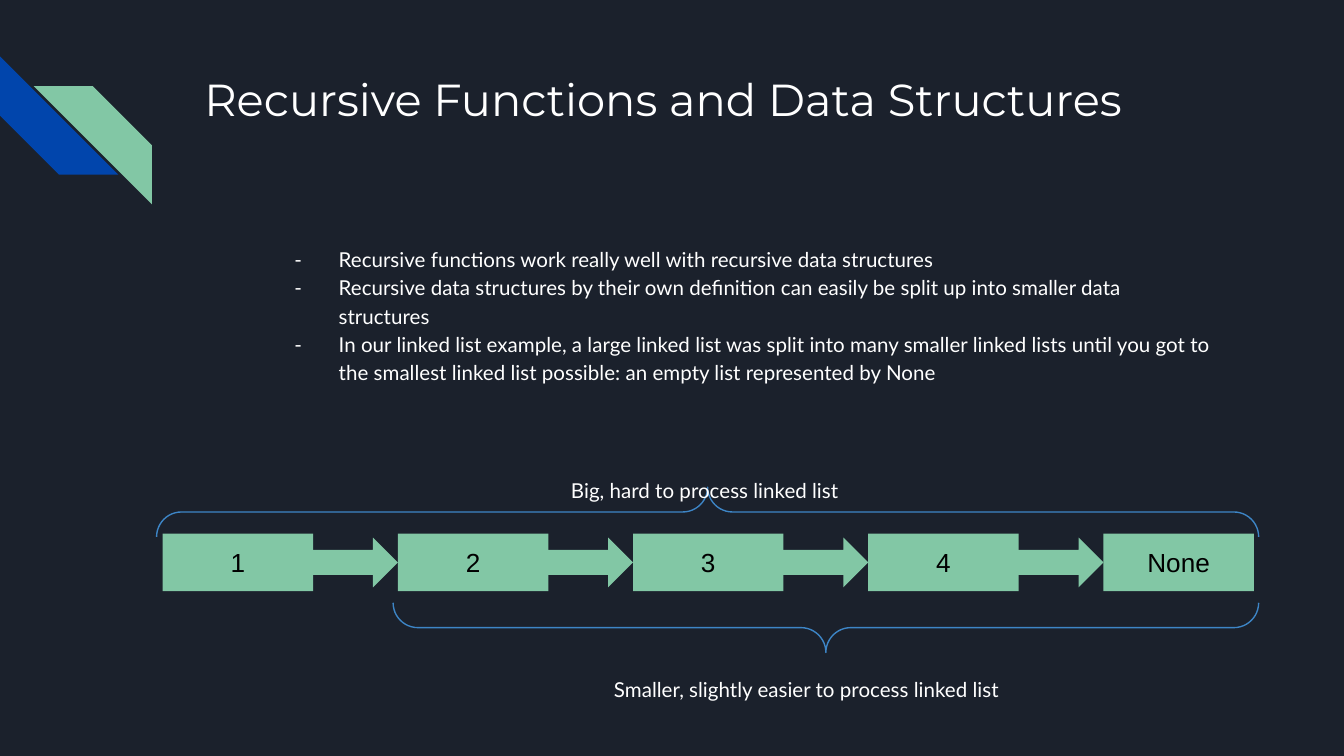
"""Build a slide on recursive functions and linked lists."""
from lxml.etree import SubElement
from pptx import Presentation
from pptx.dml.color import RGBColor
from pptx.enum.shapes import MSO_SHAPE
from pptx.enum.text import MSO_ANCHOR, MSO_AUTO_SIZE, PP_ALIGN
from pptx.oxml.ns import qn
from pptx.util import Inches, Pt

TITLE = "Recursive Functions and Data Structures"
POINTS = [
    "Recursive functions work really well with recursive data structures",
    "Recursive data structures by their own definition can easily be split up "
    "into smaller data structures",
    "In our linked list example, a large linked list was split into many smaller "
    "linked lists until you got to the smallest linked list possible: an empty "
    "list represented by None",
]
NODES = ["1", "2", "3", "4", "None"]
STRIPES = [((0, 0.42, 0.88, 0.88), 270, "0145AC"),
           ((0.25, 0.64, 0.88, 0.88), 90, "82C7A5")]
BRACES = [((5.08, -0.29, 0.37, 8.2), 90), ((5.96, 1.45, 0.37, 6.44), 270)]
LABELS = [("Big, hard to process linked list", (4.15, 3.48, 2.82, 0.31)),
          ("Smaller, slightly easier to process linked list",
           (4.47, 4.9, 3.24, 0.43))]
NODE, ARROW = (1.12, 0.43), (0.72, 0.37)
LEFT, TOP, STEP = 1.21, 3.97, 1.75
WIDTH = 10
HEIGHT = WIDTH * 9 / 16
WHITE, GREEN = "FFFFFF", "82C7A5"


def color(code):
    return RGBColor.from_string(code)


def place(shape, box):
    shape.left, shape.top, shape.width, shape.height = map(Inches, box)


def write(shape, lines, font="Lato", size=11, ink=WHITE, align=PP_ALIGN.LEFT,
          anchor=MSO_ANCHOR.MIDDLE, space=1.0, after=0, dash=False):
    frame = shape.text_frame
    frame.word_wrap = True
    frame.auto_size = MSO_AUTO_SIZE.NONE
    frame.vertical_anchor = anchor
    frame.margin_left = frame.margin_right = Inches(0.1)
    frame.margin_top = frame.margin_bottom = Inches(0.1)
    for i, line in enumerate(lines):
        para = frame.paragraphs[0] if i == 0 else frame.add_paragraph()
        para.alignment, para.line_spacing = align, space
        para.space_before, para.space_after = Pt(0), Pt(after)
        run = para.add_run()
        run.text = line
        run.font.name, run.font.size = font, Pt(size)
        run.font.color.rgb = color(ink)
        if dash:
            para.level = 1
            props = para._p.get_or_add_pPr()
            props.set("marL", str(Inches(1)))
            props.set("indent", str(Inches(-0.33)))
            tint = SubElement(props, qn("a:buClr"))
            SubElement(tint, qn("a:srgbClr"), val=WHITE)
            SubElement(props, qn("a:buFont"), typeface="Lato")
            SubElement(props, qn("a:buChar"), char="-")


def draw(slide, kind, box, fill=None, line=None, turn=0):
    shape = slide.shapes.add_shape(kind, *map(Inches, box))
    shape.shadow.inherit = False
    shape.rotation = turn
    if fill:
        shape.fill.solid()
        shape.fill.fore_color.rgb = color(fill)
    else:
        shape.fill.background()
    if line:
        shape.line.color.rgb = color(line)
        shape.line.width = Pt(0.75)
    else:
        shape.line.fill.background()
    return shape


def main():
    deck = Presentation()
    deck.slide_width, deck.slide_height = Inches(WIDTH), Inches(HEIGHT)
    slide = deck.slides.add_slide(deck.slide_layouts[1])
    slide.background.fill.solid()
    slide.background.fill.fore_color.rgb = color("1B212C")

    for box, turn, fill in STRIPES:
        draw(slide, MSO_SHAPE.DIAGONAL_STRIPE, box, fill, turn=turn)

    title, body = slide.placeholders
    place(title, (1.42, 0.43, 7.7, 1))
    write(title, [TITLE], font="Montserrat", size=24, anchor=MSO_ANCHOR.TOP)
    place(body, (1.42, 1.71, 7.7, 3.18))
    write(body, POINTS, anchor=MSO_ANCHOR.TOP, space=1.15, dash=True)

    wide, high = ARROW
    for i, name in enumerate(NODES):
        x = LEFT + i * STEP
        if i:
            y = TOP + (NODE[1] - high) / 2
            draw(slide, MSO_SHAPE.RIGHT_ARROW, (x - wide, y, wide, high), GREEN)
        node = draw(slide, MSO_SHAPE.RECTANGLE, (x, TOP, *NODE), GREEN)
        write(node, [name], font="Arial", size=14, ink="000000",
              align=PP_ALIGN.CENTER)

    for (box, turn), (text, spot) in zip(BRACES, LABELS):
        brace = draw(slide, MSO_SHAPE.LEFT_BRACE, box, line="3D85C6", turn=turn)
        brace.adjustments[0] = 0.5
        label = slide.shapes.add_textbox(*map(Inches, spot))
        write(label, [text], space=1.15, after=16)

    deck.save("out.pptx")


if __name__ == "__main__":
    main()
